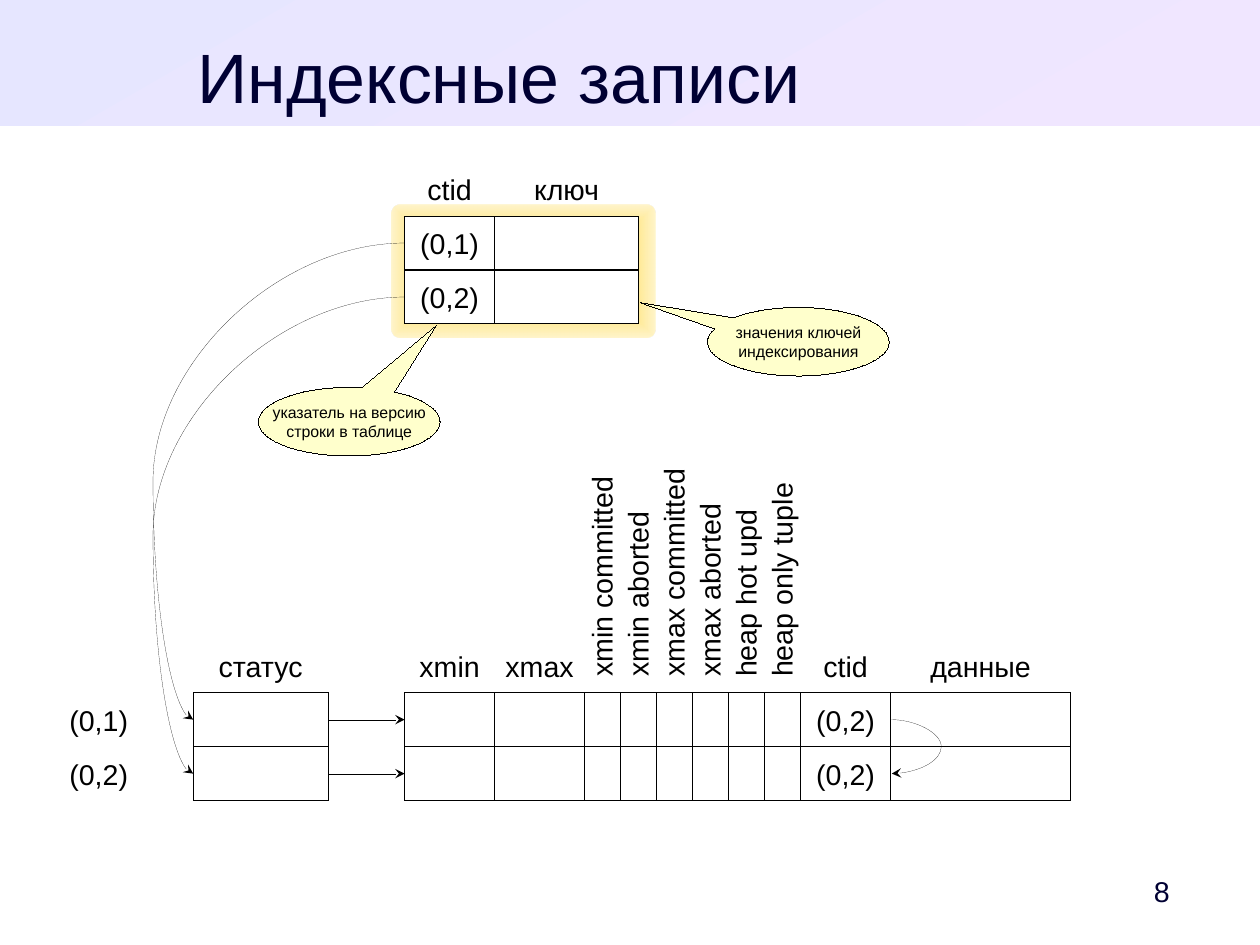
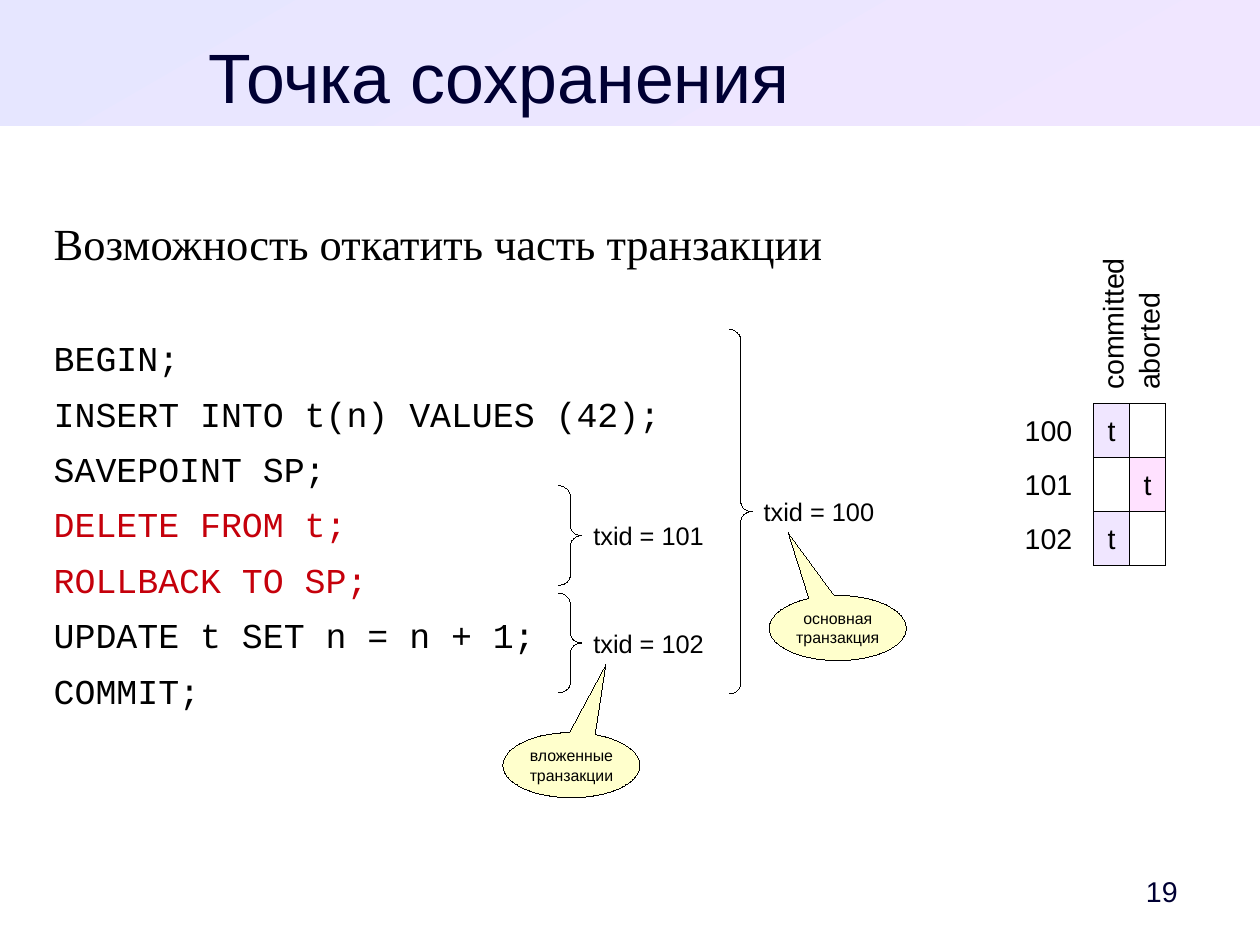
from collections.abc import Sequence
from dataclasses import dataclass

from lxml.etree import SubElement
from pptx import Presentation
from pptx.dml.color import RGBColor
from pptx.enum.shapes import MSO_CONNECTOR, MSO_SHAPE
from pptx.enum.text import MSO_ANCHOR, PP_ALIGN
from pptx.oxml.ns import qn
from pptx.presentation import Presentation as Deck
from pptx.shapes.autoshape import Shape
from pptx.shapes.connector import Connector
from pptx.slide import Slide
from pptx.util import Inches, Pt

RECTANGLE, ROUNDED = MSO_SHAPE.RECTANGLE, MSO_SHAPE.ROUNDED_RECTANGLE
CALLOUT, BRACE = MSO_SHAPE.OVAL_CALLOUT, MSO_SHAPE.RIGHT_BRACE
STRAIGHT, CURVE = MSO_CONNECTOR.STRAIGHT, MSO_CONNECTOR.CURVE
LEFT, CENTER = PP_ALIGN.LEFT, PP_ALIGN.CENTER
TOP, MIDDLE = MSO_ANCHOR.TOP, MSO_ANCHOR.MIDDLE
LEFT_SIDE, RIGHT_SIDE = 1, 3
BLANK_LAYOUT = 6


@dataclass(frozen=True)
class Theme:
    ink: RGBColor = RGBColor(0x00, 0x00, 0x00)
    navy: RGBColor = RGBColor(0x00, 0x00, 0x33)
    red: RGBColor = RGBColor(0xC5, 0x00, 0x0B)
    paper: RGBColor = RGBColor(0xFF, 0xFF, 0xFF)
    band_start: RGBColor = RGBColor(0xE6, 0xE6, 0xFF)
    lilac: RGBColor = RGBColor(0xF0, 0xE6, 0xFF)
    pink: RGBColor = RGBColor(0xFF, 0xE1, 0xFF)
    note: RGBColor = RGBColor(0xFF, 0xFF, 0xCC)
    glow: RGBColor = RGBColor(0xFF, 0xCC, 0x00)
    sans: str = "Arial"
    serif: str = "Times New Roman"
    mono: str = "Courier New"
    title_size: int = 44
    lead_size: int = 28
    code_size: int = 22
    cell_size: int = 18
    brace_size: int = 16
    note_size: int = 10


THEME = Theme()
# The page and the cells follow a centimetre grid.
CM = 1 / 2.54
SLIDE_WIDTH, SLIDE_HEIGHT = 28 * CM, 21 * CM
ROW, CELL, FLAG = 1.2 * CM, 2 * CM, 0.8 * CM
FLAGS = ("xmin committed", "xmin aborted", "xmax committed",
         "xmax aborted", "heap hot upd", "heap only tuple")


@dataclass(frozen=True)
class Frame:
    left: float
    top: float
    width: float
    height: float

    def lengths(self) -> list[Inches]:
        return [Inches(value) for value in (self.left, self.top, self.width, self.height)]


@dataclass(frozen=True)
class Line:
    text: str
    size: int = THEME.cell_size
    color: RGBColor = THEME.ink
    font: str = THEME.sans
    space_after: float = 0


@dataclass(frozen=True)
class Callout:
    frame: Frame
    tip: tuple[float, float]
    lines: tuple[str, ...]


@dataclass(frozen=True)
class BraceMark:
    """A right brace with the transaction number beside its point."""
    left: float
    top: float
    height: float
    label: str


def write(box: Shape, lines: Sequence[Line], align: PP_ALIGN = CENTER,
          anchor: MSO_ANCHOR = MIDDLE, wrap: bool = False) -> None:
    text_frame = box.text_frame
    text_frame.word_wrap = wrap
    text_frame.vertical_anchor = anchor
    for index, line in enumerate(lines):
        para = text_frame.add_paragraph() if index else text_frame.paragraphs[0]
        para.alignment = align
        para.space_after = Pt(line.space_after)
        span = para.add_run()
        span.text = line.text
        span.font.size = Pt(line.size)
        span.font.name = line.font
        span.font.color.rgb = line.color


def add_text(page: Slide, frame: Frame, lines: Sequence[Line], align: PP_ALIGN = CENTER,
             anchor: MSO_ANCHOR = TOP, wrap: bool = True, inset: bool = False) -> None:
    box = page.shapes.add_textbox(*frame.lengths())
    if not inset:
        text_frame = box.text_frame
        text_frame.margin_left = text_frame.margin_right = 0
        text_frame.margin_top = text_frame.margin_bottom = 0
    write(box, lines, align, anchor, wrap)


def set_hairline(item: Shape | Connector) -> None:
    """Give an explicit zero width, which the width property would leave out."""
    item.line.color.rgb = THEME.ink
    item.element.spPr.find(qn("a:ln")).set("w", "0")


def add_figure(page: Slide, kind: MSO_SHAPE, frame: Frame,
               fill: RGBColor | None = None, framed: bool = True) -> Shape:
    figure = page.shapes.add_shape(kind, *frame.lengths())
    figure.shadow.inherit = False
    if fill is None:
        figure.fill.background()
    else:
        figure.fill.solid()
        figure.fill.fore_color.rgb = fill
    if framed:
        set_hairline(figure)
    else:
        figure.line.fill.background()
    return figure


def set_gradient(figure: Shape, start: RGBColor, end: RGBColor) -> None:
    figure.fill.gradient()
    for stop, color in zip(figure.fill.gradient_stops, (start, end)):
        stop.color.rgb = color


def add_row(page: Slide, left: float, top: float, widths: Sequence[float],
            texts: Sequence[str], framed: bool = True,
            marks: Sequence[RGBColor] = ()) -> list[Shape]:
    """Draw cells side by side; a cell with text takes its column's mark colour."""
    cells = []
    for column, (width, text) in enumerate(zip(widths, texts)):
        if framed or text:
            fill = marks[column] if marks and text else THEME.paper
            cell = add_figure(page, RECTANGLE, Frame(left, top, width, ROW), fill, framed)
            if text:
                write(cell, [Line(text)])
            cells.append(cell)
        left += width
    return cells


def add_upright_labels(page: Slide, center: float, bottom: float, length: float,
                       texts: Sequence[str]) -> None:
    thickness = 0.34
    for index, text in enumerate(texts):
        frame = Frame(center + index * FLAG - length / 2,
                      bottom - length / 2 - thickness / 2, length, thickness)
        label = add_figure(page, RECTANGLE, frame, THEME.paper, framed=False)
        label.rotation = 270
        write(label, [Line(text)], LEFT)


def add_callout(page: Slide, callout: Callout) -> None:
    bubble = add_figure(page, CALLOUT, callout.frame, THEME.note)
    bubble.adjustments[0], bubble.adjustments[1] = callout.tip
    write(bubble, [Line(text, THEME.note_size) for text in callout.lines])


def add_brace(page: Slide, mark: BraceMark) -> None:
    width = 0.2
    brace = add_figure(page, BRACE, Frame(mark.left, mark.top, width, mark.height))
    brace.adjustments[0] = 0.45
    label = Frame(mark.left + width, mark.top + mark.height / 2 - 0.18, 1.17, 0.35)
    add_text(page, label, [Line(mark.label, THEME.brace_size)], wrap=False, inset=True)


def add_arrow(page: Slide, start: Shape, start_side: int, end: Shape, end_side: int,
              kind: MSO_CONNECTOR = STRAIGHT) -> Connector:
    arrow = page.shapes.add_connector(kind, 0, 0, 0, 0)
    arrow.begin_connect(start, start_side)
    arrow.end_connect(end, end_side)
    set_hairline(arrow)
    properties = arrow.element.spPr
    SubElement(properties.find(qn("a:ln")), qn("a:tailEnd"), type="stealth")
    SubElement(properties, qn("a:effectLst"))
    return arrow


def set_bend(arrow: Connector, ratio: float) -> None:
    """Place the bend of a curved arrow, as a share of its width."""
    geometry = arrow.element.spPr.find(qn("a:prstGeom"))
    guides = geometry.find(qn("a:avLst"))
    if guides is None:
        guides = SubElement(geometry, qn("a:avLst"))
    SubElement(guides, qn("a:gd"), name="adj1", fmla=f"val {round(ratio * 100000)}")


def add_glow(page: Slide, frame: Frame) -> None:
    glow = add_figure(page, ROUNDED, frame, framed=False)
    glow.adjustments[0] = 0.07
    set_gradient(glow, THEME.glow, THEME.glow)
    gradient = glow.element.spPr.find(qn("a:gradFill"))
    outer_color = gradient.findall(".//" + qn("a:srgbClr"))[-1]
    SubElement(outer_color, qn("a:alpha"), val="20000")
    gradient.remove(gradient.find(qn("a:lin")))
    spread = SubElement(gradient, qn("a:path"), path="rect")
    SubElement(spread, qn("a:fillToRect"), l="50000", t="50000", r="50000", b="50000")


def open_page(deck: Deck, title: str, number: int) -> Slide:
    """Add a slide with the shared band, title and page number."""
    page = deck.slides.add_slide(deck.slide_layouts[BLANK_LAYOUT])
    band = add_figure(page, RECTANGLE, Frame(0, 0, SLIDE_WIDTH, 1.1), framed=False)
    set_gradient(band, THEME.band_start, THEME.lilac)
    band.fill.gradient_angle = 300
    add_text(page, Frame(0.47, 0.29, 7.8, 0.69), [Line(title, THEME.title_size, THEME.navy)])
    add_text(page, Frame(9.73, 7.56, 0.87, 0.47),
             [Line(str(number), color=THEME.navy)], anchor=MIDDLE)
    return page


def build_index_page(deck: Deck) -> None:
    page = open_page(deck, "Индексные записи", 8)
    table_left, status_left, label_left = 3.54, 1.69, 0.47
    index_top, heap_top = 1.89, 6.06
    key_widths = (CELL, 3.2 * CM)
    status_width = 3 * CM
    heap_widths = [CELL, CELL, *[FLAG] * len(FLAGS), CELL, 4 * CM]
    no_flags = [""] * len(FLAGS)

    add_row(page, table_left, index_top - ROW, key_widths, ("ctid", "ключ"), framed=False)
    add_row(page, table_left, heap_top - ROW, heap_widths,
            ["xmin", "xmax", *no_flags, "ctid", "данные"], framed=False)
    add_row(page, status_left, heap_top - ROW, [status_width], ["статус"], framed=False)
    add_upright_labels(page, 5.26, 6.02, 2.09, FLAGS)
    add_glow(page, Frame(3.43, 1.79, 2.3, 1.16))

    targets = []
    for row, pointer in enumerate(("(0,1)", "(0,2)")):
        top = heap_top + row * ROW
        add_row(page, label_left, top, [CELL], [pointer], framed=False)
        status = add_row(page, status_left, top, [status_width], [""])[0]
        heap = add_row(page, table_left, top, heap_widths,
                       ["", "", *no_flags, "(0,2)", ""])
        entry = add_row(page, table_left, index_top + row * ROW, key_widths, (pointer, ""))[0]
        add_arrow(page, status, RIGHT_SIDE, heap[0], LEFT_SIDE)
        set_bend(add_arrow(page, entry, LEFT_SIDE, status, LEFT_SIDE, CURVE), 1.19)
        targets.append(heap[-2])

    loop = add_arrow(page, targets[0], RIGHT_SIDE, targets[1], RIGHT_SIDE, CURVE)
    loop.end_x += Inches(0.01)
    set_bend(loop, 45)

    for callout in (
        Callout(Frame(2.26, 3.39, 1.59, 0.6), (0.48, -1.41),
                ("указатель на версию", "строки в таблице")),
        Callout(Frame(6.19, 2.69, 1.59, 0.6), (-0.87, -0.57),
                ("значения ключей", "индексирования")),
    ):
        add_callout(page, callout)


def build_savepoint_page(deck: Deck) -> None:
    page = open_page(deck, "Точка сохранения", 19)
    before, undone, after = (
        ("BEGIN;", "INSERT INTO t(n) VALUES (42);", "SAVEPOINT SP;"),
        ("DELETE FROM t;", "ROLLBACK TO SP;"),
        ("UPDATE t SET n = n + 1;", "COMMIT;"),
    )
    lines = [Line("Возможность откатить часть транзакции", THEME.lead_size,
                  font=THEME.serif, space_after=42.5)]
    for group, color in ((before, THEME.ink), (undone, THEME.red), (after, THEME.ink)):
        lines += [Line(text, THEME.code_size, color, THEME.mono, 8.5) for text in group]
    add_text(page, Frame(0.47, 1.89, 10.08, 5.71), lines, LEFT)

    for mark in (BraceMark(6.38, 2.88, 3.19, "txid = 100"),
                 BraceMark(4.89, 4.25, 0.87, "txid = 101"),
                 BraceMark(4.89, 5.19, 0.87, "txid = 102")):
        add_brace(page, mark)

    status_top, number_left = 3.53, 8.78
    add_upright_labels(page, 9.73, status_top - 0.02, 1.3, ("committed", "aborted"))
    statuses = (("100", "t", ""), ("101", "", "t"), ("102", "t", ""))
    for row, (number, *flags) in enumerate(statuses):
        top = status_top + row * ROW
        add_row(page, number_left, top, [CELL], [number], framed=False)
        add_row(page, number_left + CELL, top, (FLAG, FLAG), flags,
                marks=(THEME.lilac, THEME.pink))

    for callout in (
        Callout(Frame(4.4, 6.41, 1.2, 0.57), (0.25, -1.54), ("вложенные", "транзакции")),
        Callout(Frame(6.73, 5.21, 1.2, 0.57), (-0.36, -1.46), ("основная", "транзакция")),
    ):
        add_callout(page, callout)


def main() -> None:
    deck = Presentation()
    deck.slide_width, deck.slide_height = Inches(SLIDE_WIDTH), Inches(SLIDE_HEIGHT)
    build_index_page(deck)
    build_savepoint_page(deck)
    deck.save("out.pptx")


if __name__ == "__main__":
    main()
